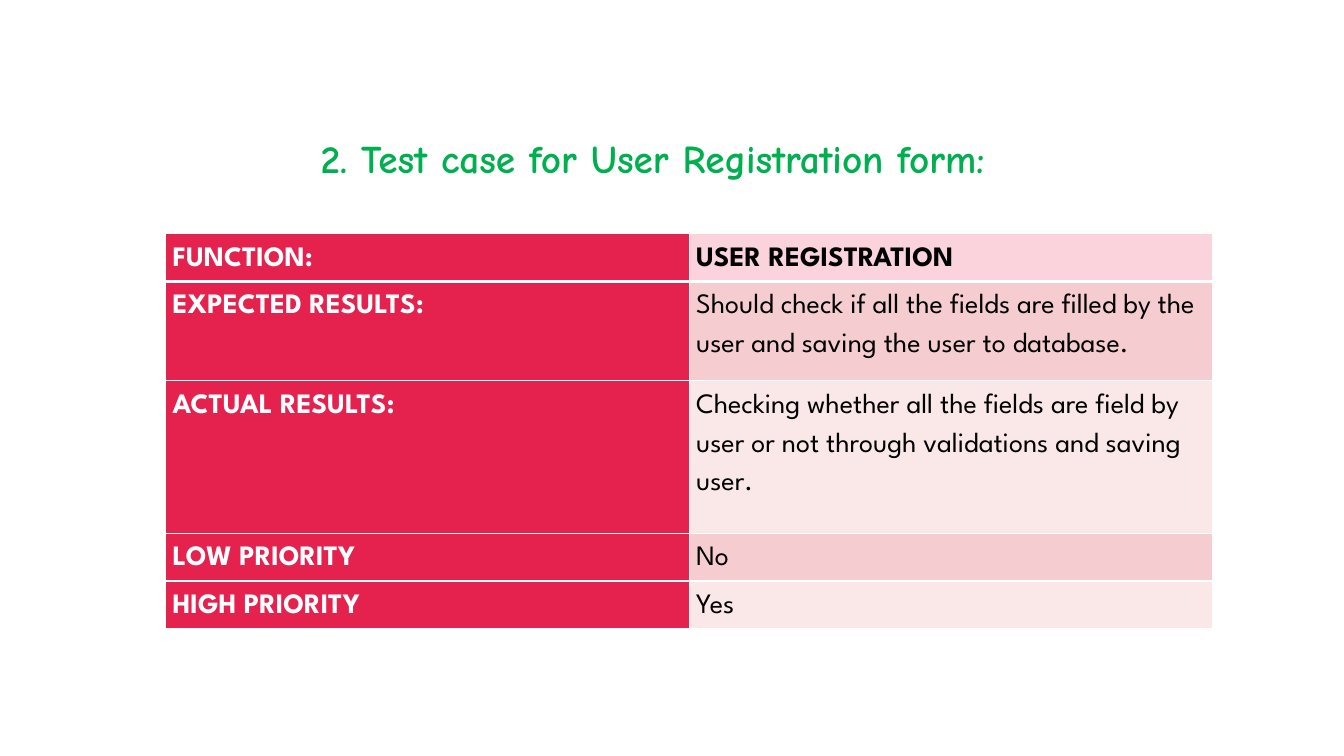
from pptx import Presentation
from pptx.util import Pt
from pptx.dml.color import RGBColor as RGB
from pptx.enum.text import PP_ALIGN as Align, MSO_ANCHOR as Anchor
from pptx.oxml import parse_xml
from pptx.oxml.ns import nsdecls

GREEN = RGB(0x00, 0xB0, 0x50)
RED = RGB(0xE5, 0x22, 0x4E)
PINK = RGB(0xFA, 0xD3, 0xDC)
ROSE = RGB(0xF5, 0xCD, 0xD0)
BLUSH = RGB(0xFA, 0xE8, 0xE9)
WHITE = RGB(0xFF, 0xFF, 0xFF)
BLACK = RGB(0x00, 0x00, 0x00)


def write(frame, text, font="League Spartan", size=20, color=BLACK, bold=False, line=1.5, after=10):
    frame.word_wrap = True
    frame.text = text
    para = frame.paragraphs[0]
    para.alignment = Align.LEFT
    para.line_spacing = line
    para.space_after = Pt(after)
    para.font.name = font
    para.font.size = Pt(size)
    para.font.bold = bold
    para.font.color.rgb = color


def edge(cell, side, rank, width):
    cell._tc.get_or_add_tcPr().insert(rank, parse_xml(
        f'<a:ln{side} {nsdecls("a")} w="{Pt(width)}"><a:solidFill>'
        f'<a:srgbClr val="{WHITE}"/></a:solidFill></a:ln{side}>'))


deck = Presentation()
deck.slide_width, deck.slide_height = Pt(960), Pt(540)
slide = deck.slides.add_slide(deck.slide_layouts[5])

title = slide.shapes.title
title.left, title.top, title.width, title.height = Pt(221.8), Pt(92.2), Pt(528.5), Pt(41.2)
write(title.text_frame, "2. Test case for User Registration form:", font="Comic Neue",
      size=28, color=GREEN, bold=True, line=1, after=0)
title.text_frame.vertical_anchor = Anchor.TOP

rows = [
    ("FUNCTION:", "USER REGISTRATION", 34, PINK),
    ("EXPECTED RESULTS:", "Should check if all the fields are filled by the user and saving the user to database.", 71, ROSE),
    ("ACTUAL RESULTS:", "Checking whether all the fields are field by user or not through validations and saving user.", 109, BLUSH),
    ("LOW PRIORITY", "No", 34, ROSE),
    ("HIGH PRIORITY", "Yes", 34, BLUSH),
]
table = slide.shapes.add_table(len(rows), 2, Pt(118.3), Pt(167), Pt(748), Pt(282)).table
for r, (label, value, height, tint) in enumerate(rows):
    table.rows[r].height = Pt(height)
    texts = [(label, RED, WHITE, True), (value, tint, BLACK, r == 0)]
    for c, (text, fill, color, bold) in enumerate(texts):
        cell = table.cell(r, c)
        cell.margin_left = cell.margin_right = Pt(5)
        cell.margin_top = cell.margin_bottom = 0
        cell.fill.solid()
        cell.fill.fore_color.rgb = fill
        write(cell.text_frame, text, color=color, bold=bold)
        for rank, side in enumerate("LRTB"):
            thick = (r, side) in [(0, "B"), (1, "T")]
            edge(cell, side, rank, 3 if thick else 1)

deck.save("out.pptx")
